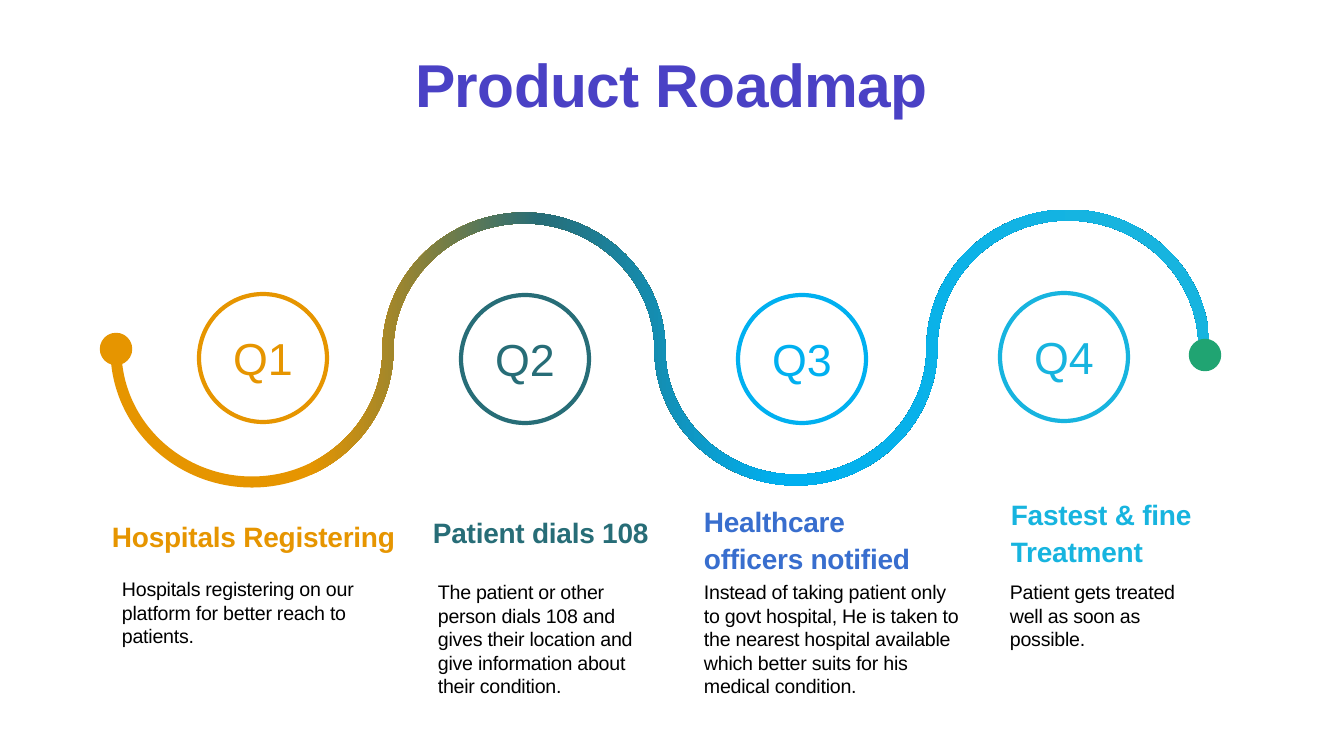
from lxml import etree
from pptx import Presentation
from pptx.dml.color import RGBColor
from pptx.enum.shapes import MSO_SHAPE
from pptx.enum.text import MSO_ANCHOR, PP_ALIGN
from pptx.oxml.ns import qn
from pptx.util import Pt

PX = 9071  # EMU per px, 100.8 px to the inch
OVAL = MSO_SHAPE.OVAL
TOP, MIDDLE, BOTTOM = MSO_ANCHOR.TOP, MSO_ANCHOR.MIDDLE, MSO_ANCHOR.BOTTOM
LEFT, CENTER = PP_ALIGN.LEFT, PP_ALIGN.CENTER

ORANGE, TEAL, BLUE, CYAN = "E69500", "276D77", "00B0F0", "17B4DF"
GREEN, ROYAL, VIOLET = "20A472", "386ECE", "4A41C5"
WHITE, BLACK = "FFFFFF", "000000"

deck = Presentation()
deck.slide_width, deck.slide_height = 1344 * PX, 756 * PX
slide = deck.slides.add_slide(deck.slide_layouts[6])
shapes = slide.shapes


def add_dot(x, y, size, fill, line, width):
    dot = shapes.add_shape(OVAL, x * PX, y * PX, size * PX, size * PX)
    dot.shadow.inherit = False
    dot.fill.solid()
    dot.fill.fore_color.rgb = RGBColor.from_string(fill)
    dot.line.color.rgb = RGBColor.from_string(line)
    dot.line.width = Pt(width)
    return dot


def put_text(shape, text, size, color, bold=False, align=LEFT,
             anchor=TOP, lines=1.0, gap=0):
    frame = shape.text_frame
    frame.word_wrap = True
    frame.vertical_anchor = anchor
    para = frame.paragraphs[0]
    para.alignment = align
    para.line_spacing = lines
    run = para.add_run()
    run.text = text
    if gap:
        run._r.get_or_add_rPr().set("spc", str(gap))
    font = para.font
    font.name, font.size, font.bold = "Arial", Pt(size), bold
    font.color.rgb = RGBColor.from_string(color)


# Quarter rings
rings = [("Q2", 461, 295, TEAL), ("Q3", 738, 295, BLUE),
         ("Q4", 1000, 293, CYAN), ("Q1", 199, 294, ORANGE)]
for name, x, y, color in rings:
    ring = add_dot(x, y, 128, WHITE, color, 3)
    put_text(ring, name, 32, color, align=CENTER, anchor=MIDDLE)

# Wave band: four half ovals, alternately below and above the axis,
# each made of two Bezier quarters
K = 0.55
ARC = [(-1, K), (-K, 1), (0, 1), (K, 1), (1, K), (1, 0)]
HALF = 5.5
edges = []
for side in (HALF, -HALF):
    edge = [(116 - side, 350)]
    for i, mid_y in enumerate([350, 350, 348, 347]):
        turn = 1 if i % 2 == 0 else -1
        off = side * turn
        edge += [(252 + 272 * i + (136 + off) * u,
                  mid_y + turn * (132 + off) * v) for u, v in ARC]
    edges.append(edge)
points = [(round(x * PX), round(y * PX)) for x, y in edges[0] + edges[1][::-1]]
build = shapes.build_freeform(*points[0])
build.add_line_segments(points[1:], close=True)
wave = build.convert_to_shape()

# Turn each three points along an edge into one curve; the cap stays a line
legs = list(wave._element.iter(qn("a:lnTo")))
side = len(edges[0]) - 1
for start in (0, side + 1):
    for i in range(start, start + side, 3):
        curve = etree.Element(qn("a:cubicBezTo"))
        legs[i].addprevious(curve)
        for leg in legs[i:i + 3]:
            curve.append(leg[0])
            leg.getparent().remove(leg)

wave.shadow.inherit = False
wave.line.fill.background()
wave.fill.gradient()
wave.fill.gradient_angle = 0
stops = wave._element.spPr.find(qn("a:gradFill")).find(qn("a:gsLst"))
for old in list(stops):
    stops.remove(old)
for spot, color in [(18, ORANGE), (39, TEAL), (61, BLUE), (92, CYAN)]:
    stop = etree.SubElement(stops, qn("a:gs"), pos=str(spot * 1000))
    etree.SubElement(stop, qn("a:srgbClr"), val=color)

# End dots
add_dot(104, 337, 24, ORANGE, ORANGE, 6)
add_dot(1193, 343, 24, GREEN, GREEN, 6)

# Title
title = shapes.add_textbox(25 * PX, 56 * PX, 1293 * PX, 70 * PX)
put_text(title, "Product Roadmap", 43.2, VIOLET, True, CENTER, BOTTOM, 0.9, -43)

# Headings and notes: text, then left, top, width, height
heads = [
    ("Hospitals Registering", 102, 511, 327, 33, ORANGE),
    ("Patient dials 108", 423, 507, 255, 43, TEAL),
    ("Healthcare officers notified", 694, 496, 246, 76, ROYAL),
    ("Fastest & fine Treatment", 1001, 489, 210, 78, CYAN),
]
notes = [
    ("Hospitals registering on our platform for better reach to patients.",
     112, 572, 275, 78),
    ("The patient or other person dials 108 and gives their location and "
     "give information about their condition.", 428, 575, 244, 125),
    ("Instead of taking patient only to govt hospital, He is taken to the "
     "nearest hospital available which better suits for his medical "
     "condition.", 694, 575, 280, 125),
    ("Patient gets treated well as soon as possible.", 1000, 575, 200, 78),
]
for text, x, y, w, h, color in heads:
    box = shapes.add_textbox(x * PX, y * PX, w * PX, h * PX)
    put_text(box, text, 20, color, True, lines=1.1, gap=-20)
for text, x, y, w, h in notes:
    box = shapes.add_textbox(x * PX, y * PX, w * PX, h * PX)
    put_text(box, text, 14, BLACK, gap=-20)

deck.save("out.pptx")
